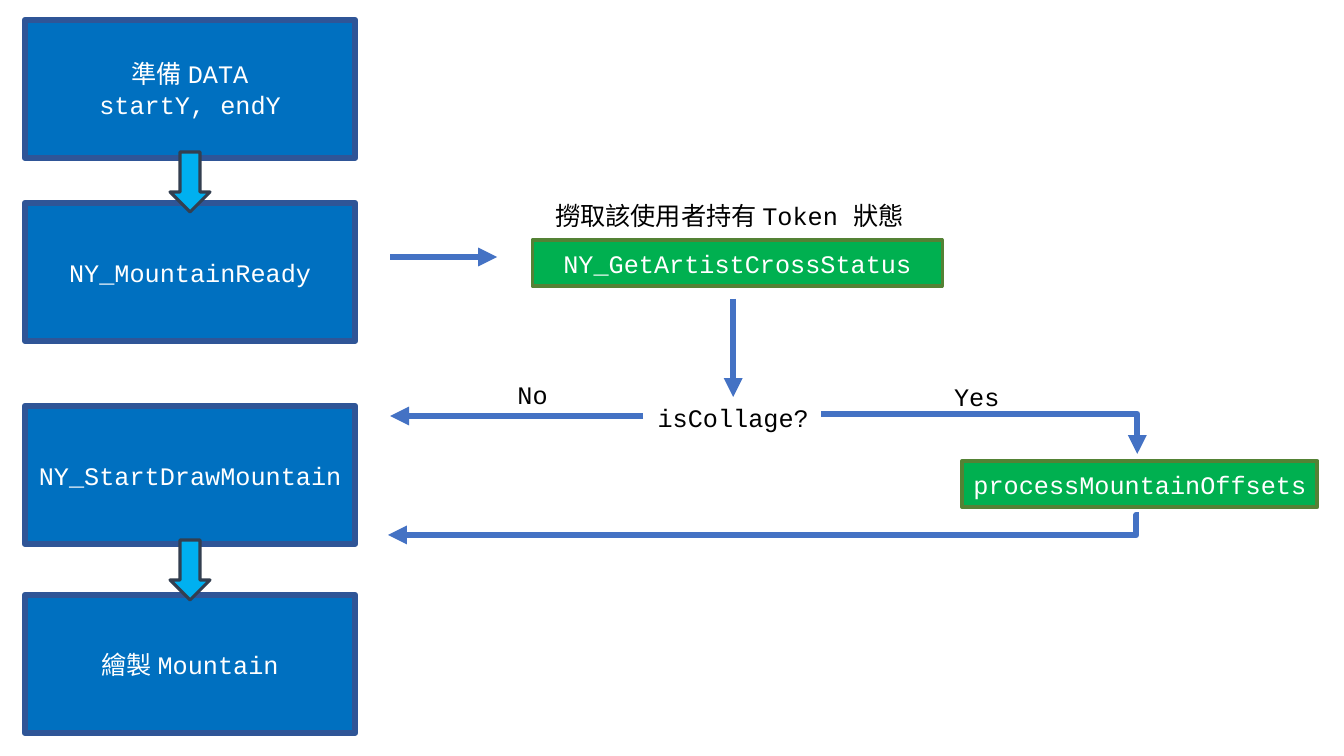
import pptx
import pptx.util
import pptx.dml.color
import pptx.enum.shapes
import pptx.enum.text
import pptx.oxml
import pptx.oxml.ns
import lxml.etree

PX = 914400 / 100.8
FONT = "Courier New"
SHAPES = pptx.enum.shapes.MSO_SHAPE
ALIGN = pptx.enum.text.PP_ALIGN
WHITE, BLACK, BLUE = "FFFFFF", "000000", "4472C4"

# Main steps down the left: top, lines of text
STEP_LEFT, STEP_W, STEP_H = 25, 330, 138
STEPS = [
    (20, ["準備 DATA", "startY, endY"]),
    (203, ["NY_MountainReady"]),
    (406, ["NY_StartDrawMountain"]),
    (595, ["繪製 Mountain"]),
]
ARROW_W, ARROW_H = 40, 60
ARROW_TOPS = [152, 540]

# Called functions: left, top, width, height, text, line width
CALLS = [
    (962, 461, 355, 46, "processMountainOffsets", 3),
    (532, 240, 410, 46, "NY_GetArtistCrossStatus", 2.25),
]

# Labels: left, top, width, text, alignment
LABEL_H = 40
LABELS = [
    (545, 195, 383, "撈取該使用者持有 Token 狀態", ALIGN.LEFT),
    (643, 397, 180, "isCollage?", ALIGN.CENTER),
    (501, 374, 63, "No", ALIGN.CENTER),
    (920, 376, 113, "Yes", ALIGN.CENTER),
]

# Flow lines: from x, from y, to x, to y, preset, bend position
FLOWS = [
    (390, 257, 497, 257, "line", None),
    (733, 299, 733, 397, "line", None),
    (643, 416, 390, 416, "line", None),
    (1139, 515, 388, 535, "bentConnector3", 400),
    (821, 414, 1137, 454, "bentConnector2", None),
]


def px(*values):
    """Turn pixels into EMU."""
    return [pptx.util.Emu(round(v * PX)) for v in values]


def rgb(hex_code):
    """Turn a hex string into a colour."""
    return pptx.dml.color.RGBColor.from_string(hex_code)


def write(tf, lines, color, align=ALIGN.CENTER):
    """Write one paragraph per line in the slide's font."""
    for i, line in enumerate(lines):
        p = tf.paragraphs[0] if i == 0 else tf.add_paragraph()
        p.alignment = align
        r = p.add_run()
        r.text = line
        r.font.name = FONT
        r.font.size = pptx.util.Pt(18)
        r.font.color.rgb = rgb(color)


def add_block(s, kind, box, fill, line, line_w, lines=()):
    """Add a filled and outlined shape with white text."""
    sp = s.shapes.add_shape(kind, *px(*box))
    sp.shadow.inherit = False
    sp.fill.solid()
    sp.fill.fore_color.rgb = rgb(fill)
    sp.line.color.rgb = rgb(line)
    sp.line.width = pptx.util.Pt(line_w)
    sp.text_frame.word_wrap = True
    sp.text_frame.vertical_anchor = pptx.enum.text.MSO_ANCHOR.MIDDLE
    write(sp.text_frame, lines, WHITE)


def add_label(s, left, top, width, text, align):
    """Add a one-line text box that fits its text."""
    tf = s.shapes.add_textbox(*px(left, top, width, LABEL_H)).text_frame
    tf.word_wrap = False
    tf.auto_size = pptx.enum.text.MSO_AUTO_SIZE.SHAPE_TO_FIT_TEXT
    write(tf, [text], BLACK, align)


def add_flow(s, x1, y1, x2, y2, preset, bend):
    """Add a straight or bent connector ending in a triangle."""
    qn = pptx.oxml.ns.qn
    kinds = pptx.enum.shapes.MSO_CONNECTOR
    kind = kinds.STRAIGHT if preset == "line" else kinds.ELBOW
    cxn = s.shapes.add_connector(kind, *px(x1, y1, x2, y2))
    cxn.line.color.rgb = rgb(BLUE)
    cxn.line.width = pptx.util.Pt(4.5)
    sp_pr = cxn._element.spPr
    geom = sp_pr.find(qn("a:prstGeom"))
    geom.set("prst", preset)
    if bend is not None:
        guides = geom.find(qn("a:avLst"))
        if guides is None:
            guides = lxml.etree.SubElement(geom, qn("a:avLst"))
        lxml.etree.SubElement(guides, qn("a:gd"), name="adj1", fmla=f"val {bend}")
    lxml.etree.SubElement(sp_pr.find(qn("a:ln")), qn("a:tailEnd"), type="triangle")
    lxml.etree.SubElement(sp_pr, qn("a:effectLst"))


prs = pptx.Presentation()
prs.slide_width = pptx.util.Inches(13.33)
prs.slide_height = pptx.util.Inches(7.5)
s = prs.slides.add_slide(prs.slide_layouts[6])

for top, lines in STEPS:
    add_block(s, SHAPES.RECTANGLE, (STEP_LEFT, top, STEP_W, STEP_H),
              "0070C0", "2F5597", 4.5, lines)
for label in LABELS:
    add_label(s, *label)
for left, top, width, height, text, line_w in CALLS:
    add_block(s, SHAPES.RECTANGLE, (left, top, width, height),
              "00B050", "548235", line_w, [text])
for flow in FLOWS:
    add_flow(s, *flow)
arrow_left = STEP_LEFT + (STEP_W - ARROW_W) / 2
for top in ARROW_TOPS:
    add_block(s, SHAPES.DOWN_ARROW, (arrow_left, top, ARROW_W, ARROW_H),
              "00B0F0", "333F50", 2.25)

prs.save("out.pptx")
